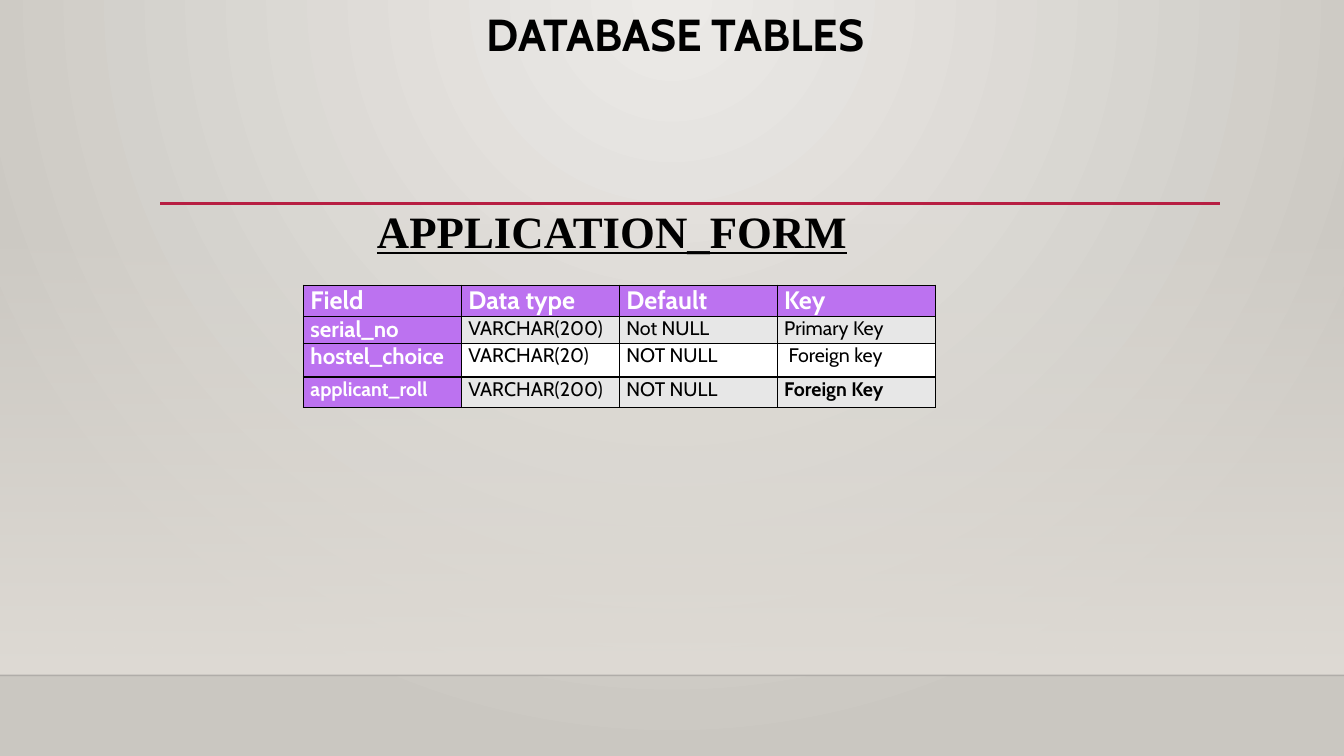
from dataclasses import dataclass

from lxml import etree
from pptx import Presentation
from pptx.dml.color import RGBColor
from pptx.enum.shapes import MSO_CONNECTOR, MSO_SHAPE
from pptx.enum.text import MSO_ANCHOR, MSO_AUTO_SIZE, PP_ALIGN
from pptx.oxml.ns import qn
from pptx.util import Inches, Pt

STRAIGHT = MSO_CONNECTOR.STRAIGHT
RECTANGLE = MSO_SHAPE.RECTANGLE
TOP = MSO_ANCHOR.TOP
CENTER = PP_ALIGN.CENTER
LEFT = PP_ALIGN.LEFT
NO_AUTOSIZE = MSO_AUTO_SIZE.NONE
GROW = MSO_AUTO_SIZE.SHAPE_TO_FIT_TEXT

BLACK = RGBColor(0x00, 0x00, 0x00)
NEAR_BLACK = RGBColor(0x00, 0x00, 0x01)
WHITE = RGBColor(0xFF, 0xFF, 0xFF)
PURPLE = RGBColor(0xBC, 0x72, 0xF0)
BAND_GRAY = RGBColor(0xE7, 0xE7, 0xE7)
CRIMSON = RGBColor(0xB7, 0x1E, 0x42)
GLOW = RGBColor(0xEC, 0xEA, 0xE7)
STONE = RGBColor(0xCA, 0xC7, 0xC1)
FLOOR = RGBColor(0xDF, 0xDB, 0xD5)

SLIDE_WIDTH = Inches(13.33)
SLIDE_HEIGHT = Inches(7.5)
BODY_FONT = "Cabin"
HEADING_FONT = "Times New Roman"
COLUMN_SHARE = 11.75


@dataclass(frozen=True)
class Rule:
    start: float
    end: float
    height: float
    color: RGBColor
    weight: float
    opacity: int


@dataclass(frozen=True)
class FieldRow:
    texts: tuple[str, str, str, str]
    share: float
    label_size: int
    fill: RGBColor
    key_bold: bool = False


RULES = (
    Rule(0, 100, 89.33, NEAR_BLACK, 1, 20),
    Rule(11.93, 90.77, 26.93, CRIMSON, 2.5, 100),
)
HEADERS = ("Field", "Data type", "Default", "Key")
HEADER_SHARE = 4.1
FIELD_ROWS = (
    FieldRow(("serial_no", "VARCHAR(200)", "Not NULL", "Primary Key"), 3.6, 16, BAND_GRAY),
    FieldRow(("hostel_choice", "VARCHAR(20)", "NOT NULL", " Foreign key"), 4.45, 16, WHITE),
    FieldRow(("applicant_roll", "VARCHAR(200)", "NOT NULL", "Foreign Key"), 4, 14, BAND_GRAY, True),
)


def across(percent: float) -> int:
    return round(SLIDE_WIDTH * percent / 100)


def down(percent: float) -> int:
    return round(SLIDE_HEIGHT * percent / 100)


def style(paragraph, size: float, color: RGBColor, bold: bool = True,
          font: str = BODY_FONT, underline: bool = False) -> None:
    for run in paragraph.runs:
        run.font.name = font
        run.font.size = Pt(size)
        run.font.bold = bold
        run.font.underline = underline
        run.font.color.rgb = color


def set_opacity(color_element, percent: int) -> None:
    etree.SubElement(color_element, qn("a:alpha"), val=str(percent * 1000))


def set_gradient(fill, colors: tuple[RGBColor, RGBColor]) -> None:
    fill.gradient()
    for position, (stop, color) in enumerate(zip(fill.gradient_stops, colors)):
        stop.color.rgb = color
        stop.position = position


def paint_background(slide) -> None:
    set_gradient(slide.background.fill, (GLOW, STONE))
    gradient = next(slide.element.iter(qn("a:gradFill")))
    gradient.remove(gradient.find(qn("a:lin")))
    circle = etree.SubElement(gradient, qn("a:path"), path="circle")
    etree.SubElement(circle, qn("a:fillToRect"), l="43000", t="0", r="43000", b="100000")


def draw_floor(slide) -> None:
    floor = slide.shapes.add_shape(RECTANGLE, 0, down(29.47), SLIDE_WIDTH, down(59.87))
    floor.shadow.inherit = False
    floor.line.fill.background()
    set_gradient(floor.fill, (FLOOR, FLOOR))
    floor.fill.gradient_angle = 270
    set_opacity(next(floor.element.iter(qn("a:srgbClr"))), 0)


def draw_rule(slide, rule: Rule) -> None:
    line = slide.shapes.add_connector(
        STRAIGHT, across(rule.start), down(rule.height), across(rule.end), down(rule.height))
    line.line.color.rgb = rule.color
    line.line.width = Pt(rule.weight)
    properties = line.element.spPr
    set_opacity(next(properties.iter(qn("a:srgbClr"))), rule.opacity)
    etree.SubElement(properties, qn("a:effectLst"))


def write_title(slide) -> None:
    title = slide.shapes.title
    title.left, title.top = across(9), down(1.07)
    title.width, title.height = across(82.52), down(21.2)
    frame = title.text_frame
    frame.text = "DATABASE TABLES"
    frame.word_wrap = True
    frame.auto_size = NO_AUTOSIZE
    frame.vertical_anchor = TOP
    paragraph = frame.paragraphs[0]
    paragraph.alignment = CENTER
    paragraph.line_spacing = 0.9
    style(paragraph, 32, BLACK)


def write_table_name(slide) -> None:
    frame = slide.shapes.add_textbox(
        across(27.31), down(26.27), across(37.43), down(8.53)).text_frame
    frame.text = "APPLICATION_FORM"
    frame.word_wrap = True
    frame.auto_size = GROW
    style(frame.paragraphs[0], 32, BLACK, font=HEADING_FONT, underline=True)


def add_borders(cell) -> None:
    properties = cell._tc.get_or_add_tcPr()
    for index, side in enumerate(("a:lnL", "a:lnR", "a:lnT", "a:lnB")):
        border = etree.Element(qn(side), w=str(Pt(1)))
        solid = etree.SubElement(border, qn("a:solidFill"))
        etree.SubElement(solid, qn("a:srgbClr"), val=str(BLACK))
        properties.insert(index, border)


def fill_cell(cell, text: str, fill: RGBColor, size: float, color: RGBColor, bold: bool) -> None:
    cell.margin_left = cell.margin_right = Inches(0.07)
    cell.margin_top = cell.margin_bottom = 0
    cell.vertical_anchor = TOP
    cell.fill.solid()
    cell.fill.fore_color.rgb = fill
    cell.text_frame.text = text
    paragraph = cell.text_frame.paragraphs[0]
    paragraph.alignment = LEFT
    style(paragraph, size, color, bold)
    add_borders(cell)


def draw_fields(slide) -> None:
    shares = (HEADER_SHARE, *(row.share for row in FIELD_ROWS))
    table = slide.shapes.add_table(
        len(shares), len(HEADERS), across(22.58), down(37.73),
        across(COLUMN_SHARE * len(HEADERS)), down(sum(shares))).table
    for column in table.columns:
        column.width = across(COLUMN_SHARE)
    for row, share in zip(table.rows, shares):
        row.height = down(share)
    for index, header in enumerate(HEADERS):
        fill_cell(table.cell(0, index), header, PURPLE, 18, WHITE, True)
    for number, field in enumerate(FIELD_ROWS, start=1):
        label, *details = field.texts
        fill_cell(table.cell(number, 0), label, PURPLE, field.label_size, WHITE, True)
        for index, detail in enumerate(details, start=1):
            bold = field.key_bold and index == len(details)
            fill_cell(table.cell(number, index), detail, field.fill, 14, BLACK, bold)


def main() -> None:
    presentation = Presentation()
    presentation.slide_width = SLIDE_WIDTH
    presentation.slide_height = SLIDE_HEIGHT
    slide = presentation.slides.add_slide(presentation.slide_layouts[5])
    paint_background(slide)
    draw_floor(slide)
    for rule in RULES:
        draw_rule(slide, rule)
    write_title(slide)
    draw_fields(slide)
    write_table_name(slide)
    presentation.save("out.pptx")


if __name__ == "__main__":
    main()
